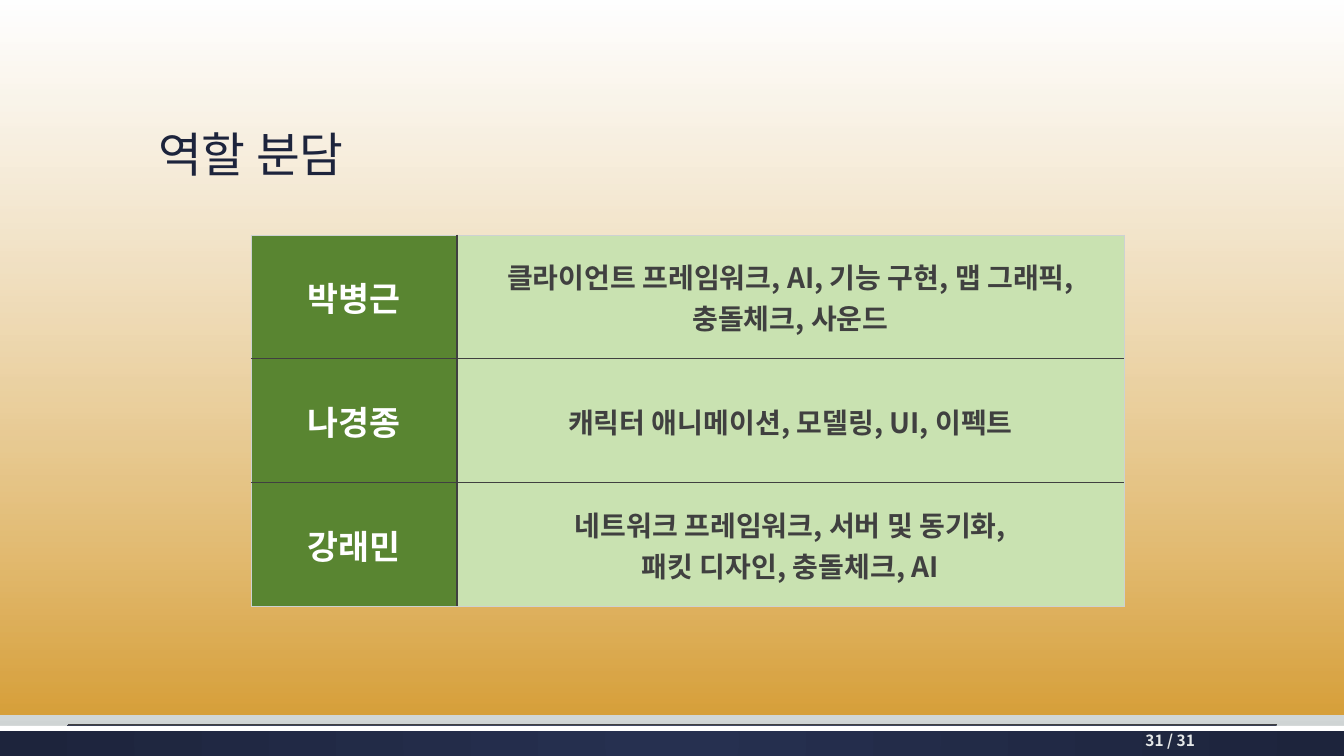
"""Build the role assignment slide."""
from lxml import etree
from pptx import Presentation
from pptx.dml.color import RGBColor
from pptx.enum.shapes import MSO_CONNECTOR, MSO_SHAPE
from pptx.enum.text import MSO_ANCHOR as ANCHOR, PP_ALIGN as ALIGN
from pptx.oxml.ns import qn
from pptx.util import Inches, Pt

FONT = "Noto Sans CJK KR"
NAVY = RGBColor(0x1D, 0x24, 0x3C)
NAVY_LIGHT = RGBColor(0x26, 0x30, 0x50)
WHITE = RGBColor(0xFF, 0xFF, 0xFF)
SILVER = RGBColor(0xE5, 0xE8, 0xE8)
GRAY = RGBColor(0xCD, 0xD2, 0xD2)
AMBER = RGBColor(0xDA, 0x8C, 0x00)
GREEN = RGBColor(0x59, 0x85, 0x31)
PALE_GREEN = RGBColor(0xC9, 0xE2, 0xB1)
CHARCOAL = RGBColor(0x40, 0x40, 0x40)


def set_gradient(fill, element, stops, radial=False):
    fill.gradient()
    grad = element.find(".//" + qn("a:gradFill"))
    grad.clear()
    stop_list = etree.SubElement(grad, qn("a:gsLst"))
    for pos, color, alpha in stops:
        stop = etree.SubElement(stop_list, qn("a:gs"), pos=str(pos * 1000))
        clr = etree.SubElement(stop, qn("a:srgbClr"), val=str(color))
        if alpha < 100:
            etree.SubElement(clr, qn("a:alpha"), val=str(alpha * 1000))
    if radial:
        circle = etree.SubElement(grad, qn("a:path"), path="circle")
        etree.SubElement(circle, qn("a:fillToRect"), l="50000", t="50000", r="50000", b="50000")
    else:
        etree.SubElement(grad, qn("a:lin"), ang="5400000", scaled="0")


def style(p, size, color, bold, align):
    p.alignment = align
    for r in p.runs:
        r.font.size = Pt(size)
        r.font.bold = bold
        r.font.color.rgb = color
        r.font.name = FONT
        etree.SubElement(r.font._element, qn("a:ea"), typeface=FONT)


prs = Presentation()
prs.slide_width, prs.slide_height = Inches(13.33), Inches(7.5)
slide = prs.slides.add_slide(prs.slide_layouts[6])
set_gradient(slide.background.fill, slide._element,
             [(0, WHITE, 100), (72, SILVER, 100), (100, GRAY, 100)])

bands = []
for top, width, height in [(7.2, 13.33, 0.3), (7.2, 13.33, 0.05), (0, 13.37, 7.09)]:
    s = slide.shapes.add_shape(MSO_SHAPE.RECTANGLE, 0, Inches(top), Inches(width), Inches(height))
    s.shadow.inherit = False
    s.line.fill.background()
    bands.append(s)
footer, stripe, wash = bands
set_gradient(footer.fill, footer._element, [(0, NAVY_LIGHT, 100), (100, NAVY, 100)], radial=True)
stripe.fill.solid()
stripe.fill.fore_color.rgb = WHITE
set_gradient(wash.fill, wash._element, [(0, WHITE, 51), (100, AMBER, 73)])

rule = slide.shapes.add_connector(MSO_CONNECTOR.STRAIGHT, Inches(0.67), Inches(7.19),
                                  Inches(12.67), Inches(7.19))
rule.line.color.rgb = CHARCOAL
rule.line.width = Pt(0.5)
etree.SubElement(rule._element.spPr, qn("a:effectLst"))

texts = [
    ("역할 분담", (1.47, 0.51, 10.4, 1.35), ANCHOR.BOTTOM, 34, NAVY, False, ALIGN.LEFT),
    ("31 / 31", (11.17, 7.22, 0.78, 0.26), ANCHOR.MIDDLE, 11, SILVER, True, ALIGN.RIGHT),
]
for text, box, anchor, size, color, bold, align in texts:
    tf = slide.shapes.add_textbox(*map(Inches, box)).text_frame
    tf.word_wrap = True
    tf.vertical_anchor = anchor
    tf.text = text
    tf.paragraphs[0].line_spacing = 0.9 if size == 34 else 1.0
    style(tf.paragraphs[0], size, color, bold, align)

roles = [
    ("박병근", "클라이언트 프레임워크, AI, 기능 구현, 맵 그래픽, 충돌체크, 사운드"),
    ("나경종", "캐릭터 애니메이션, 모델링, UI, 이펙트"),
    ("강래민", "네트워크 프레임워크, 서버 및 동기화,\n패킷 디자인, 충돌체크, AI"),
]
columns = [(2.04, 24, WHITE, GREEN), (6.62, 20, CHARCOAL, PALE_GREEN)]
table = slide.shapes.add_table(len(roles), len(columns), Inches(2.49), Inches(2.33),
                               Inches(8.66), Inches(3.69)).table
for row, role in enumerate(roles):
    table.rows[row].height = Inches(1.23)
    for col, (width, size, color, fill) in enumerate(columns):
        table.columns[col].width = Inches(width)
        cell = table.cell(row, col)
        cell.vertical_anchor = ANCHOR.MIDDLE
        cell.text_frame.text = role[col]
        for p in cell.text_frame.paragraphs:
            style(p, size, color, True, ALIGN.CENTER)
        tc_pr = cell._tc.get_or_add_tcPr()
        inner = {"lnL": col > 0, "lnR": col < len(columns) - 1,
                 "lnT": row > 0, "lnB": row < len(roles) - 1}
        for side, is_inner in inner.items():
            points = (1.5 if side in ("lnL", "lnR") else 1) if is_inner else 0.5
            ln = etree.SubElement(tc_pr, qn("a:" + side), w=str(Pt(points)))
            solid = etree.SubElement(ln, qn("a:solidFill"))
            etree.SubElement(solid, qn("a:srgbClr"), val=str(CHARCOAL if is_inner else GRAY))
        cell.fill.solid()
        cell.fill.fore_color.rgb = fill

prs.save("out.pptx")
